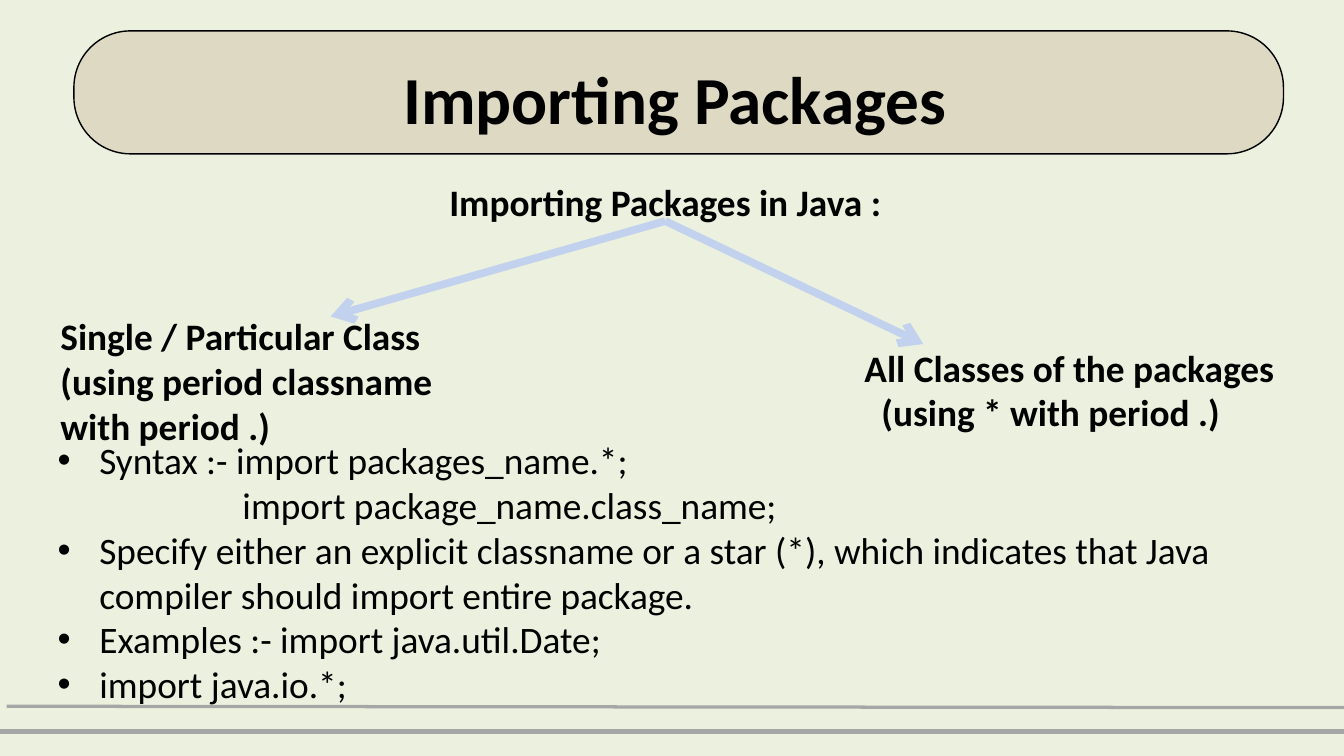
"""Build the slide on importing packages in Java."""
from lxml.etree import SubElement
from pptx import Presentation
from pptx.dml.color import RGBColor
from pptx.enum.shapes import MSO_CONNECTOR, MSO_SHAPE
from pptx.enum.text import MSO_ANCHOR, MSO_AUTO_SIZE, PP_ALIGN
from pptx.oxml.ns import qn
from pptx.util import Inches, Pt

THEME = {
    "font": "Calibri", "title": 72, "body": 40,
    "ink": "000000", "back": "EBF1DE", "pill": "DDD9C3",
    "rule": "A6A6A6", "arrow": "C2D1ED",
}
LEFT, MID, RIGHT = PP_ALIGN.LEFT, PP_ALIGN.CENTER, PP_ALIGN.RIGHT
BULLET, CODE = (0.62, -0.62), (2.75, 0)

TITLE = "Importing Packages"
PILL = (1.1, 0.46, 18, 1.83)
LABELS = [
    ((0.9, 2.66, 18, 0.67), 0, [("Importing Packages in Java :", MID)]),
    ((0.9, 4.66, 8, 2), 0, [
        ("Single / Particular Class", LEFT),
        ("(using period classname", LEFT),
        ("with period .)", LEFT),
    ]),
    ((12.21, 5.08, 6.85, 1.75), 1, [
        ("All Classes of the packages", RIGHT),
        ("(using * with period .)", MID),
    ]),
]
POINTS = [
    ("Syntax :- import packages_name.*;", BULLET),
    ("import package_name.class_name;", CODE),
    ("Specify either an explicit classname or a star (*), which indicates "
     "that Java compiler should import entire package.", BULLET),
    ("Examples :- import java.util.Date;", BULLET),
    ("import java.io.*;", BULLET),
]
FORK = (9.9, 3.29)
LINES = [
    ((0, 10.88), (20, 10.88), "rule", 5.5, False),
    ((0.1, 10.51), (20, 10.53), "rule", 3.5, False),
    (FORK, (4.92, 4.71), "arrow", 8.25, True),
    (FORK, (13.74, 5.12), "arrow", 8.25, True),
]


def tint(key):
    return RGBColor.from_string(THEME[key])


def place(shape, box):
    shape.left, shape.top, shape.width, shape.height = map(Inches, box)


def frame(shape, pad):
    area = shape.text_frame
    area.word_wrap = True
    area.auto_size = MSO_AUTO_SIZE.NONE
    area.vertical_anchor = MSO_ANCHOR.TOP
    area.margin_left = area.margin_right = Inches(0.1 * pad)
    area.margin_top = area.margin_bottom = Inches(0.05 * pad)
    return area


def write(area, text, size="body", bold=False, align=LEFT, indent=None, pitch=None):
    para = area.paragraphs[0]
    if para.runs:
        para = area.add_paragraph()
    para.alignment = align
    para.space_before = para.space_after = Pt(0)
    para.line_spacing = Pt(pitch) if pitch else 1.0
    if indent:
        props = para._p.get_or_add_pPr()
        props.set("marL", str(Inches(indent[0])))
        props.set("indent", str(Inches(indent[1])))
        if indent[1]:
            SubElement(props, qn("a:buFont"), typeface="Arial")
            SubElement(props, qn("a:buChar"), char="•")
    run = para.add_run()
    run.text = text
    font = run.font
    font.name, font.size, font.bold = THEME["font"], Pt(THEME[size]), bold
    font.color.rgb = tint("ink")


def draw(shapes, start, end, key, width, head):
    link = shapes.add_connector(MSO_CONNECTOR.STRAIGHT, *map(Inches, start + end))
    link.line.color.rgb = tint(key)
    link.line.width = Pt(width)
    if head:
        SubElement(link.line._get_or_add_ln(), qn("a:tailEnd"), type="arrow")
    SubElement(link.element.spPr, qn("a:effectLst"))


def main():
    deck = Presentation()
    deck.slide_width, deck.slide_height = Inches(20), Inches(11.25)
    slide = deck.slides.add_slide(deck.slide_layouts[5])
    fill = slide.background.fill
    fill.solid()
    fill.fore_color.rgb = tint("back")
    shapes = slide.shapes

    pill = shapes.add_shape(MSO_SHAPE.ROUNDED_RECTANGLE, *map(Inches, PILL))
    pill.adjustments[0] = 0.46
    pill.shadow.inherit = False
    pill.fill.solid()
    pill.fill.fore_color.rgb = tint("pill")
    pill.line.color.rgb = tint("ink")
    pill.line.width = Pt(1.5)

    title = shapes.title
    place(title, (1.63, 0.88, 16.83, 1.19))
    write(frame(title, 0), TITLE, size="title", bold=True, align=MID, pitch=84)
    pill.element.addnext(title.element)

    for item in LINES:
        draw(shapes, *item)
    for box, pad, rows in LABELS:
        area = frame(shapes.add_textbox(*map(Inches, box)), pad)
        for text, align in rows:
            write(area, text, bold=True, align=align)
    area = frame(shapes.add_textbox(*map(Inches, (0.76, 6.46, 18.48, 4.44))), 1)
    for text, indent in POINTS:
        write(area, text, indent=indent)
    deck.save("out.pptx")


if __name__ == "__main__":
    main()
